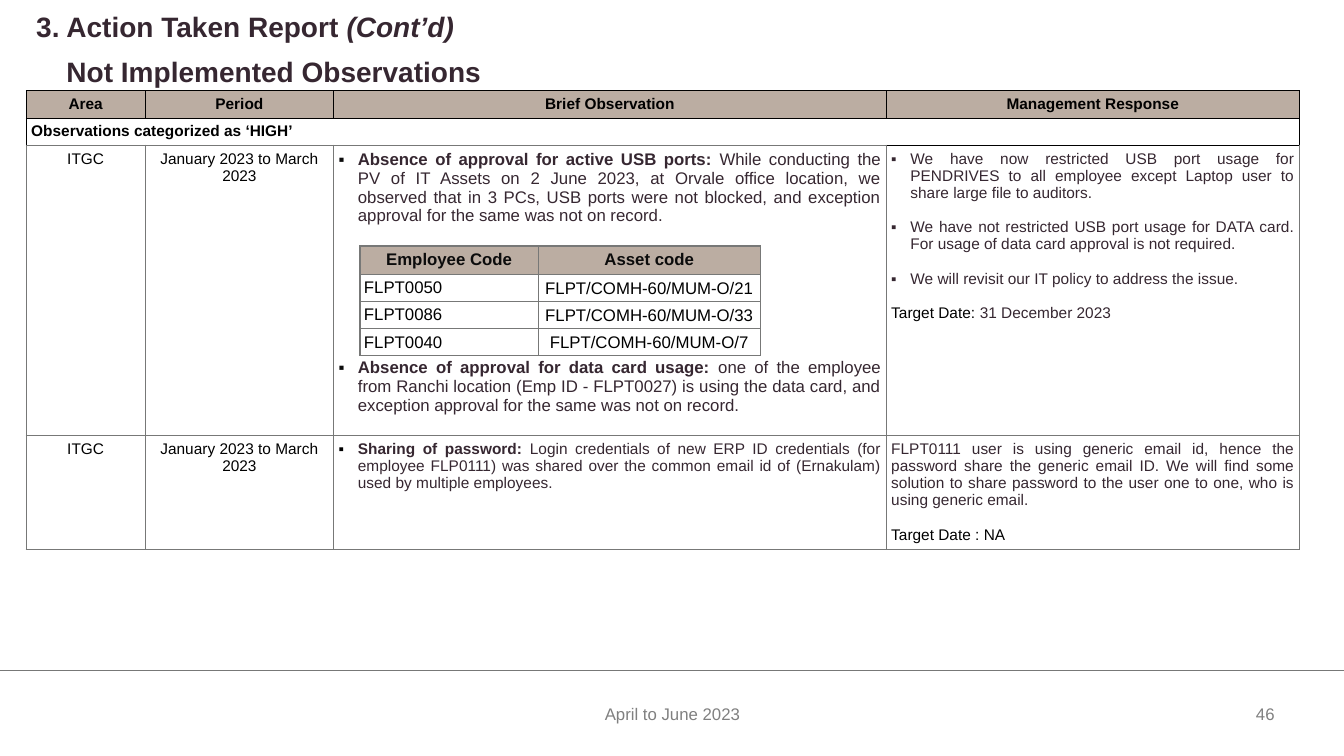
import pptx
import pptx.util
import pptx.dml.color
import pptx.enum.shapes
import pptx.enum.text
from lxml import etree

Inch, Pt = pptx.util.Inches, pptx.util.Pt
Align, Anchor = pptx.enum.text.PP_ALIGN, pptx.enum.text.MSO_ANCHOR
INK = {"black": "000000", "plum": "362731", "soot": "0C0C0C", "tan": "BBADA2",
       "rule": "777877", "gray": "808080", "white": "FFFFFF"}
FONT = "Arial"
WIDE, HIGH = 13.33, 7.5

# A run is (text, colour, style); style holds b for bold and i for italic.
# A paragraph is (runs, size, alignment, space before, bullet colour).
def line(text, size=11, align="c", ink="black", style=""):
    return [([(text, ink, style)], size, align, 0, None)]


HEADS = ["Area", "Period", "Brief Observation", "Management Response"]
BAND = "Observations categorized as ‘HIGH’"
PERIOD = "January 2023 to March 2023"
USB = [
    ([("Absence of approval for active USB ports:", "plum", "b"),
      (" While conducting the PV of IT Assets on 2 June 2023, at Orvale office "
       "location, we observed that in 3 PCs, USB ports were not blocked, and "
       "exception approval for the same was not on record.", "plum", "")],
     12, "j", 0, "soot"),
    ([("Absence of approval for data card usage: ", "plum", "b"),
      ("one of the employee from Ranchi location (Emp ID - FLPT0027) is using the "
       "data card, and exception approval for the same was not on record.",
       "plum", "")], 12, "j", 95, "soot"),
]
REPLY = [
    ([("We have now restricted USB port usage for PENDRIVES to all employee except "
       "Laptop user to share large file to auditors.", "plum", "")],
     11, "j", 0, "plum"),
    ([("We have not restricted USB port usage for DATA card. For usage of data card "
       "approval is not required.", "plum", "")], 11, "j", 12, "plum"),
    ([("We will revisit our IT policy to address the issue.", "plum", "")],
     11, "j", 12.5, "plum"),
    ([("Target Date: ", "black", ""), ("31 December 2023", "plum", "")],
     11, "j", 12.5, None),
]
SHARE = [
    ([("Sharing of password:", "plum", "b"),
      (" Login credentials of new ERP ID credentials (for employee FLP0111) was "
       "shared over the common email id of (Ernakulam) used by multiple employees.",
       "plum", "")], 11, "j", 0, "black"),
]
ANSWER = [
    ([("FLPT0111 user is using generic email id, hence the password share the "
       "generic email ID. We will find some solution to share password to the user "
       "one to one, who is using generic email.", "plum", "")], 11, "j", 0, None),
    ([("Target Date : NA", "black", "")], 11, "j", 12.5, None),
]
ROWS = [
    [line(head, style="b") for head in HEADS],
    [line(BAND, align="l", style="b"), [], [], []],
    [line("ITGC"), line(PERIOD), USB, REPLY],
    [line("ITGC"), line(PERIOD), SHARE, ANSWER],
]
ASSETS = [
    ("FLPT0050", "FLPT/COMH-60/MUM-O/21"),
    ("FLPT0086", "FLPT/COMH-60/MUM-O/33"),
    ("FLPT0040", "FLPT/COMH-60/MUM-O/7"),
]
TITLE = [
    ([("3. Action Taken Report ", "plum", "b"), ("(Cont’d)", "plum", "bi")],
     20, "l", 0, None),
    ([("Not Implemented Observations", "plum", "b")], 20, "l", 11, None),
]
ALIGN = {"l": Align.LEFT, "c": Align.CENTER, "j": Align.JUSTIFY}


def color(name):
    return pptx.dml.color.RGBColor.from_string(INK[name])


def node(root, tag, **attrs):
    return etree.SubElement(root, pptx.oxml.ns.qn("a:" + tag), attrs)


def indent(para, left, first):
    props = para._p.get_or_add_pPr()
    props.set("marL", str(Inch(left)))
    props.set("indent", str(Inch(first)))
    return props


def write(frame, paras):
    frame.word_wrap = True
    for count, (runs, size, align, gap, dot) in enumerate(paras):
        para = frame.add_paragraph() if count else frame.paragraphs[0]
        para.alignment = ALIGN[align]
        if gap:
            para.space_before = Pt(gap)
        if dot:
            props = indent(para, 0.19, -0.19)
            node(node(props, "buClr"), "srgbClr", val=INK[dot])
            node(props, "buFont", typeface=FONT)
            node(props, "buChar", char="▪")
        for text, ink, style in runs:
            run = para.add_run()
            run.text = text
            run.font.name, run.font.size = FONT, Pt(size)
            run.font.bold, run.font.italic = "b" in style, "i" in style
            run.font.color.rgb = color(ink)


def inset(box, left, top, right, low):
    box.margin_left, box.margin_top = Inch(left), Inch(top)
    box.margin_right, box.margin_bottom = Inch(right), Inch(low)


def edge(cell, inks, width):
    """Draw the left, right, top and bottom borders, in that order."""
    props = cell._tc.get_or_add_tcPr()
    for side, ink in zip("LRTB", inks):
        rule = node(props, "ln" + side, w=str(Pt(width)))
        node(node(rule, "solidFill"), "srgbClr", val=INK[ink])


def grid(slide, left, top, cols, rows):
    table = slide.shapes.add_table(len(rows), len(cols), Inch(left), Inch(top),
                                   Inch(sum(cols)), Inch(sum(rows))).table
    table.first_row = table.horz_banding = False
    for col, size in zip(table.columns, cols):
        col.width = Inch(size)
    for row, size in zip(table.rows, rows):
        row.height = Inch(size)
    return table


def paint(cell, ink):
    if ink:
        cell.fill.solid()
        cell.fill.fore_color.rgb = color(ink)
    else:
        cell.fill.background()


def report(slide):
    table = grid(slide, 0.26, 0.9, [1.18, 1.87, 5.48, 4.1], [0.27, 0.27, 2.88, 1.13])
    table.cell(1, 0).merge(table.cell(1, 3))
    for r, row in enumerate(ROWS):
        for c, paras in enumerate(row):
            cell = table.cell(r, c)
            inset(cell, 0.05, 0.05, 0.05, 0.05)
            cell.vertical_anchor = Anchor.MIDDLE if r < 2 else Anchor.TOP
            write(cell.text_frame, paras)
            inks = ["black" if r < 2 else "rule"] * 4
            if r == 1 and c < 3:
                inks[3] = "rule"
            if r == 2 and c == 3:
                inks[2] = "black"
            edge(cell, inks, 0.5 if r < 2 else 1)
            paint(cell, None if r else "tan")


def assets(slide):
    table = grid(slide, 3.57, 2.44, [1.77, 2.2], [0.28] + [0.27] * len(ASSETS))
    for r, row in enumerate([("Employee Code", "Asset code")] + ASSETS):
        for c, text in enumerate(row):
            cell = table.cell(r, c)
            cell.vertical_anchor = Anchor.MIDDLE
            if r == 0:
                inset(cell, 0.05, 0.02, 0.05, 0.02)
                write(cell.text_frame, line(text, 12, ink="soot", style="b"))
            else:
                inset(cell, *((0.02, 0.01, 0.02, 0) if c else (0.04, 0.01, 0.04, 0.01)))
                write(cell.text_frame, line(text, 12, "c" if c else "l"))
            edge(cell, ["rule"] * 4, 1)
            paint(cell, "white" if r else "tan")


def label(slide, left, top, width, height, paras):
    box = slide.shapes.add_textbox(Inch(left), Inch(top), Inch(width), Inch(height))
    write(box.text_frame, paras)
    return box.text_frame


def main():
    deck = pptx.Presentation()
    deck.slide_width, deck.slide_height = Inch(WIDE), Inch(HIGH)
    slide = deck.slides.add_slide(deck.slide_layouts[6])
    rule = slide.shapes.add_connector(pptx.enum.shapes.MSO_CONNECTOR.STRAIGHT,
                                      0, Inch(6.65), Inch(WIDE), Inch(6.65))
    rule.line.color.rgb, rule.line.width = color("rule"), Pt(0.5)
    node(rule._element.spPr, "effectLst")
    report(slide)
    title = label(slide, 0.26, 0.13, 12.83, 0.76, TITLE)
    inset(title, 0, 0, 0.1, 0)
    for para in title.paragraphs:
        para.line_spacing = 0.9
    indent(title.paragraphs[0], 0.4, -0.3)
    indent(title.paragraphs[1], 0.4, 0)
    assets(slide)
    page = label(slide, 11.92, 6.88, 1.26, 0.4, line("46", 12, ink="gray"))
    page.vertical_anchor = Anchor.MIDDLE
    label(slide, 4.42, 6.93, 4.5, 0.4, line("April to June 2023", 12, ink="gray"))
    deck.save("out.pptx")


if __name__ == "__main__":
    main()
